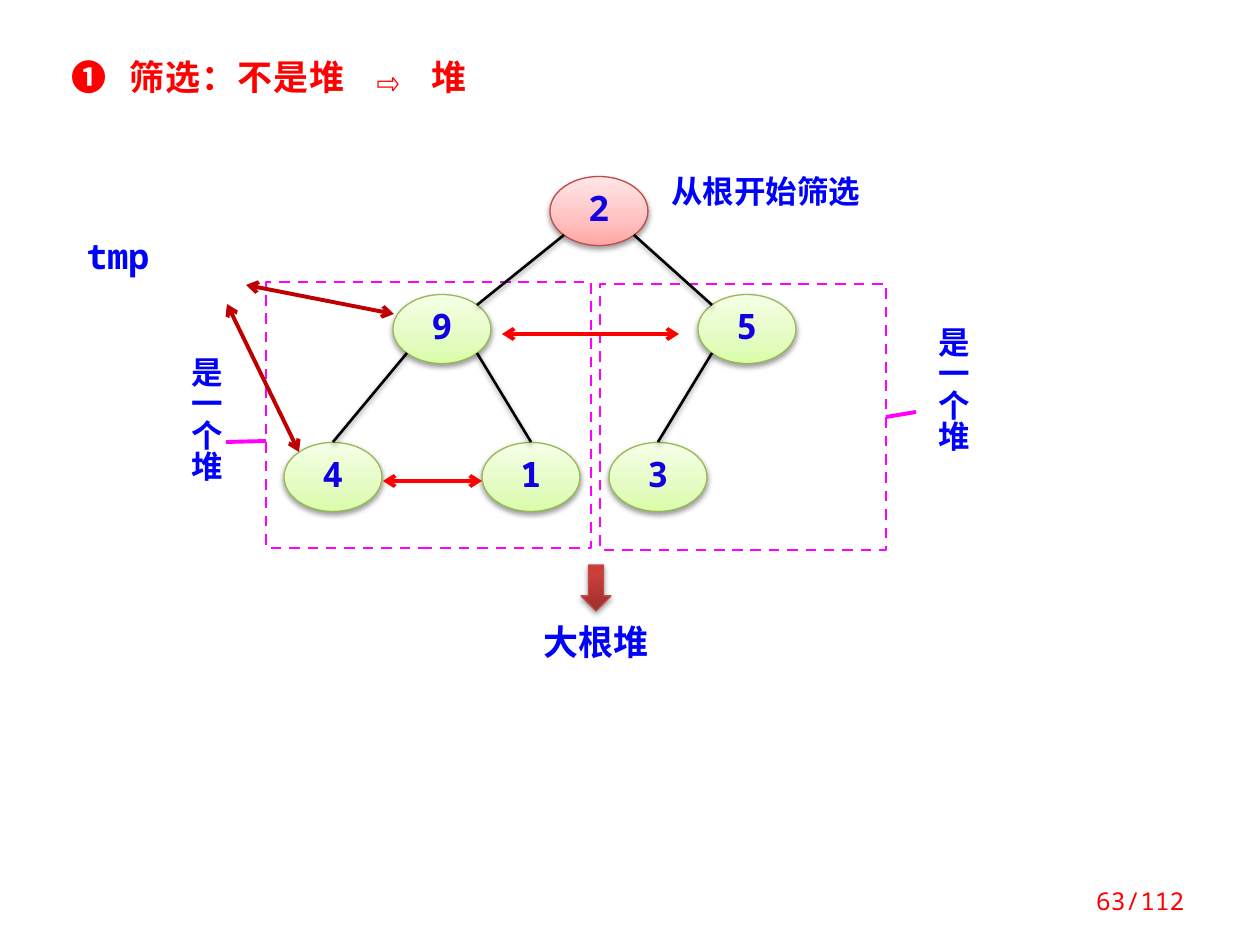
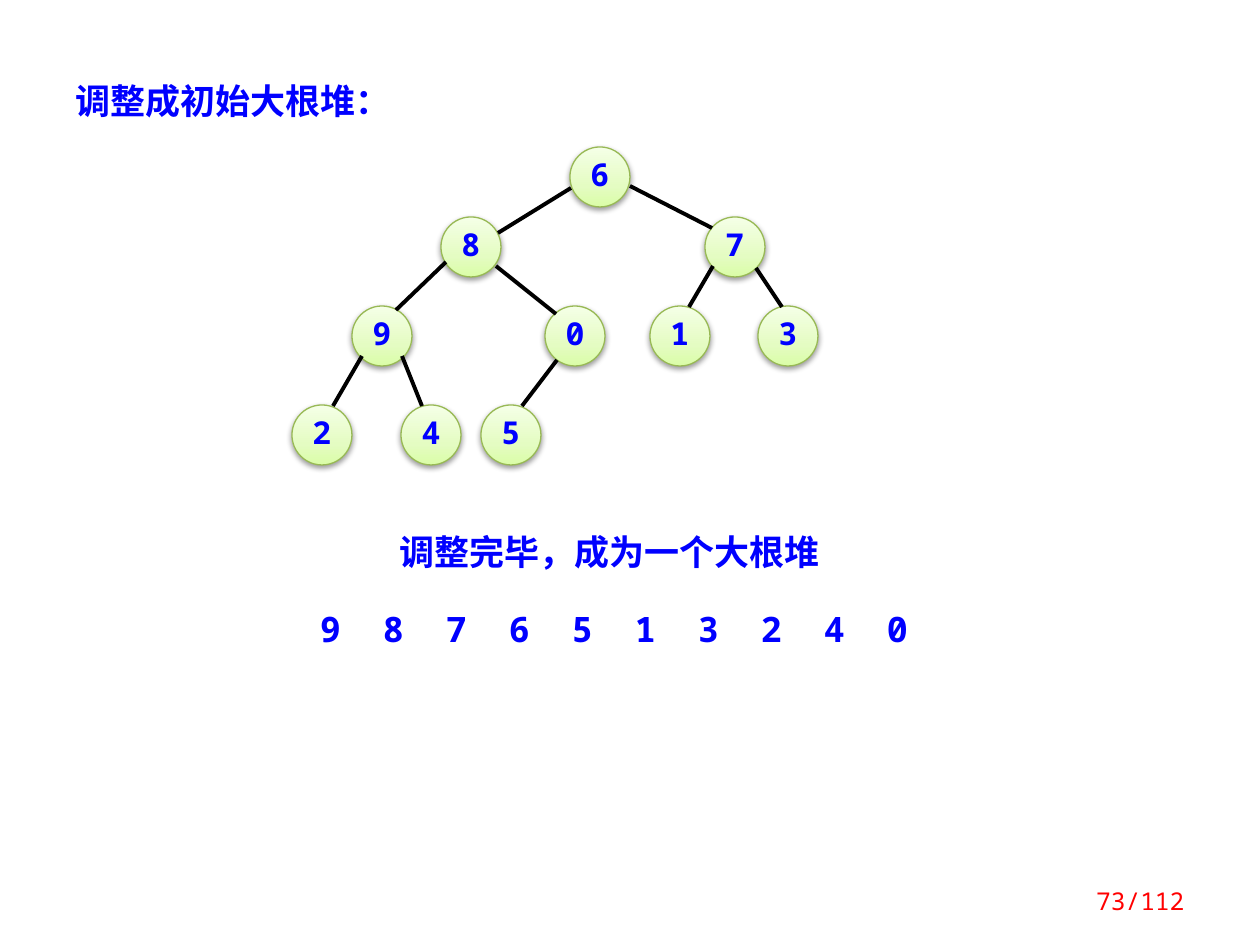
from copy import deepcopy

from lxml import etree
from pptx import Presentation
from pptx import util as u
from pptx.dml.color import RGBColor
from pptx.enum import dml, shapes, text
from pptx.oxml.ns import qn

PX = 914400 / 126
BLUE = RGBColor(0x00, 0x00, 0xFF)
NODE_BLUE = RGBColor(0x10, 0x00, 0xE4)
RED = RGBColor(0xFF, 0x00, 0x00)
DARK_RED = RGBColor(0xC0, 0x00, 0x00)
MAGENTA = RGBColor(0xFF, 0x00, 0xFF)
BLACK = RGBColor(0x00, 0x00, 0x00)
GREEN_EDGE = RGBColor(0x98, 0xB9, 0x55)
RED_EDGE = RGBColor(0xBF, 0x4C, 0x48)
GREEN_FADE = [(0, RGBColor(0xDA, 0xFD, 0xA7)), (0.35, RGBColor(0xE4, 0xFC, 0xC2)),
              (1, RGBColor(0xF5, 0xFF, 0xE7))]
PINK_FADE = [(0, RGBColor(0xFF, 0xA6, 0xA5)), (0.35, RGBColor(0xFF, 0xC0, 0xBF)),
             (1, RGBColor(0xFF, 0xE7, 0xE7))]
ARROW_FADE = [(0, RGBColor(0x9C, 0x2F, 0x2D)), (0.8, RGBColor(0xCB, 0x3E, 0x3A)),
              (1, RGBColor(0xCE, 0x3B, 0x37))]
MONO, CJK = "Noto Sans Mono", "Noto Sans CJK SC"
LEFT, CENTER, RIGHT = text.PP_ALIGN.LEFT, text.PP_ALIGN.CENTER, text.PP_ALIGN.RIGHT
OVAL = shapes.MSO_SHAPE.OVAL


def write(frame, words, size, color, font=MONO, align=CENTER, spacing=None, bold=True):
    paragraph = frame.paragraphs[0]
    paragraph.alignment = align
    paragraph.line_spacing = spacing
    run = paragraph.add_run()
    run.text = words
    run.font.size, run.font.bold, run.font.name = u.Pt(size), bold, font
    run.font.color.rgb = color
    etree.SubElement(run.font._element, qn("a:ea"), typeface=font)
    return run


def draw_line(slide, start, end, color, width, arrows=False, shadow=False):
    ends = [round(v * PX) for v in (*start, *end)]
    line = slide.shapes.add_connector(shapes.MSO_CONNECTOR.STRAIGHT, *ends)
    line.line.color.rgb = color
    line.line.width = u.Pt(width)
    if arrows:
        for tag in ("a:headEnd", "a:tailEnd"):
            etree.SubElement(line.line._get_or_add_ln(), qn(tag), type="arrow")
    effects = etree.SubElement(line._element.spPr, qn("a:effectLst"))
    if shadow:
        effects.append(deepcopy(soft_shadow))
    return line


# Soft shadow under tree nodes and edges
soft_shadow = etree.Element(qn("a:outerShdw"), blurRad="40000", dist="20000",
                            dir="5400000", rotWithShape="0")
shadow_color = etree.SubElement(soft_shadow, qn("a:srgbClr"), val="000000")
etree.SubElement(shadow_color, qn("a:alpha"), val="38000")

prs = Presentation()
prs.slide_width, prs.slide_height = u.Inches(10), u.Inches(7.5)
sift, result = [prs.slides.add_slide(prs.slide_layouts[6]) for _ in range(2)]

# Dashed frames around the two subtrees
subtrees = []
for x, y, w, h in [(266, 282, 325, 266), (600, 284, 286, 266)]:
    subtree = sift.shapes.add_shape(shapes.MSO_SHAPE.RECTANGLE,
                                    *[round(v * PX) for v in (x, y, w, h)])
    subtree.shadow.inherit = False
    subtree.fill.background()
    subtree.line.color.rgb = MAGENTA
    subtree.line.width = u.Pt(1.5)
    subtree.line.dash_style = dml.MSO_LINE.DASH
    subtrees.append(subtree)
draw_line(sift, (226, 442), (266, 441), MAGENTA, 2.25)
draw_line(sift, (886, 417), (916, 412), MAGENTA, 2.25).begin_connect(subtrees[1], 3)

# Nodes by centre, and the down arrow to the result
sift_nodes = {"2": (599, 211), "9": (442, 329), "5": (747, 329),
              "4": (333, 477), "1": (531, 477), "3": (658, 477)}
result_nodes = {"6": (600, 177), "8": (471, 247), "7": (735, 247),
                "9": (382, 336), "0": (575, 336), "1": (680, 336), "3": (788, 336),
                "2": (322, 435), "4": (431, 435), "5": (511, 435)}
shaded = [(sift, OVAL, center, 98, 69, PINK_FADE if key == "2" else GREEN_FADE,
           RED_EDGE if key == "2" else GREEN_EDGE, key, 20, NODE_BLUE)
          for key, center in sift_nodes.items()]
shaded += [(result, OVAL, center, 60, 60, GREEN_FADE, GREEN_EDGE, key, 18, BLUE)
           for key, center in result_nodes.items()]
shaded.append((sift, shapes.MSO_SHAPE.DOWN_ARROW, (596, 588), 30, 46,
               ARROW_FADE, RED_EDGE, "", 20, BLUE))
for slide, kind, (cx, cy), w, h, fade, edge, key, size, color in shaded:
    node = slide.shapes.add_shape(kind, *[round(v * PX) for v in (cx - w / 2, cy - h / 2, w, h)])
    node.shadow.inherit = False
    node._element.spPr.find(qn("a:effectLst")).append(deepcopy(soft_shadow))
    node.fill.gradient()
    node.fill.gradient_angle = 90
    stop_list = node._element.spPr.find(".//" + qn("a:gsLst"))
    stop_list.append(deepcopy(stop_list[0]))
    for stop, (position, shade) in zip(node.fill.gradient_stops, fade):
        stop.position = position
        stop.color.rgb = shade
    node.line.color.rgb = edge
    node.line.width = u.Pt(0.75)
    if key:
        frame = node.text_frame
        frame.word_wrap = slide == sift
        frame.vertical_anchor = text.MSO_ANCHOR.MIDDLE
        write(frame, key, size, color, spacing=0.8)

# Edges of the first tree: lower corner of the parent to the child
for parent, child in ["94", "91", "53", "29", "25"]:
    (px, py), (cx, cy) = sift_nodes[parent], sift_nodes[child]
    side = 35 if cx > px else -35
    end = (cx, cy - 35) if child in "413" else (cx - side, cy - 24)
    draw_line(sift, (px + side, py + 24), end, BLACK, 1.5, shadow=True)

# Comparison and move arrows
for start, end, color in [((502, 334), (679, 334), RED), ((383, 481), (482, 481), RED),
                          ((246, 285), (394, 314), DARK_RED),
                          ((227, 304), (299, 452), DARK_RED)]:
    draw_line(sift, start, end, color, 2.25, arrows=True)

# Edges of the second tree
for start, end in [((362, 356), (333, 406)), ((402, 356), (422, 406)),
                   ((557, 360), (522, 406)), ((446, 262), (396, 310)),
                   ((496, 266), (556, 314)), ((713, 266), (689, 307)),
                   ((756, 268), (782, 307)), ((571, 188), (498, 233)),
                   ((630, 186), (712, 228))]:
    draw_line(result, start, end, BLACK, 2.25)

# Titles, captions and page numbers
heap_order = "\t".join("9876513240")
for slide, box, words, size, color, font, align, spacing in [
        (sift, (59, 49, 472, 55), "❶ 筛选：不是堆 ⇨ 堆", 20, RED, MONO, LEFT, None),
        (sift, (659, 166, 256, 50), "从根开始筛选", 18, BLUE, MONO, LEFT, None),
        (sift, (59, 236, 118, 48), "tmp", 20, BLUE, MONO, CENTER, 0.8),
        (sift, (512, 622, 168, 47), "大根堆", 20, BLUE, MONO, CENTER, 0.8),
        (sift, (169, 344, 55, 197), "是一个堆", 18, BLUE, MONO, CENTER, 0.8),
        (sift, (916, 314, 55, 197), "是一个堆", 18, BLUE, MONO, CENTER, 0.8),
        (result, (63, 73, 449, 55), "调整成初始大根堆：", 20, BLUE, CJK, LEFT, None),
        (result, (312, 524, 595, 55), "调整完毕，成为一个大根堆", 20, BLUE, CJK, CENTER, None),
        (result, (286, 601, 659, 55), heap_order, 20, BLUE, MONO, LEFT, None),
        (sift, (1043, 876, 154, 50), "63/112", 14, RED, MONO, RIGHT, None),
        (result, (1043, 876, 154, 50), "73/112", 14, RED, MONO, RIGHT, None)]:
    frame = slide.shapes.add_textbox(*[round(v * PX) for v in box]).text_frame
    frame.word_wrap = True
    if align == RIGHT:
        frame.vertical_anchor = text.MSO_ANCHOR.MIDDLE
    else:
        frame.auto_size = text.MSO_AUTO_SIZE.SHAPE_TO_FIT_TEXT
    if box[3] > box[2]:
        frame._txBody.bodyPr.set("vert", "eaVert")
    if words == heap_order:
        frame.margin_left = round(34 * PX)
        tabs = etree.SubElement(frame.paragraphs[0]._p.get_or_add_pPr(), qn("a:tabLst"))
        for step in range(1, 10):
            etree.SubElement(tabs, qn("a:tab"), pos=str(round(63 * step * PX)), algn="l")
    run = write(frame, words, size, color, font, align, spacing, bold=align != RIGHT)
    if words.startswith("❶"):
        run.font._element.set("spc", "50")

prs.save("out.pptx")
